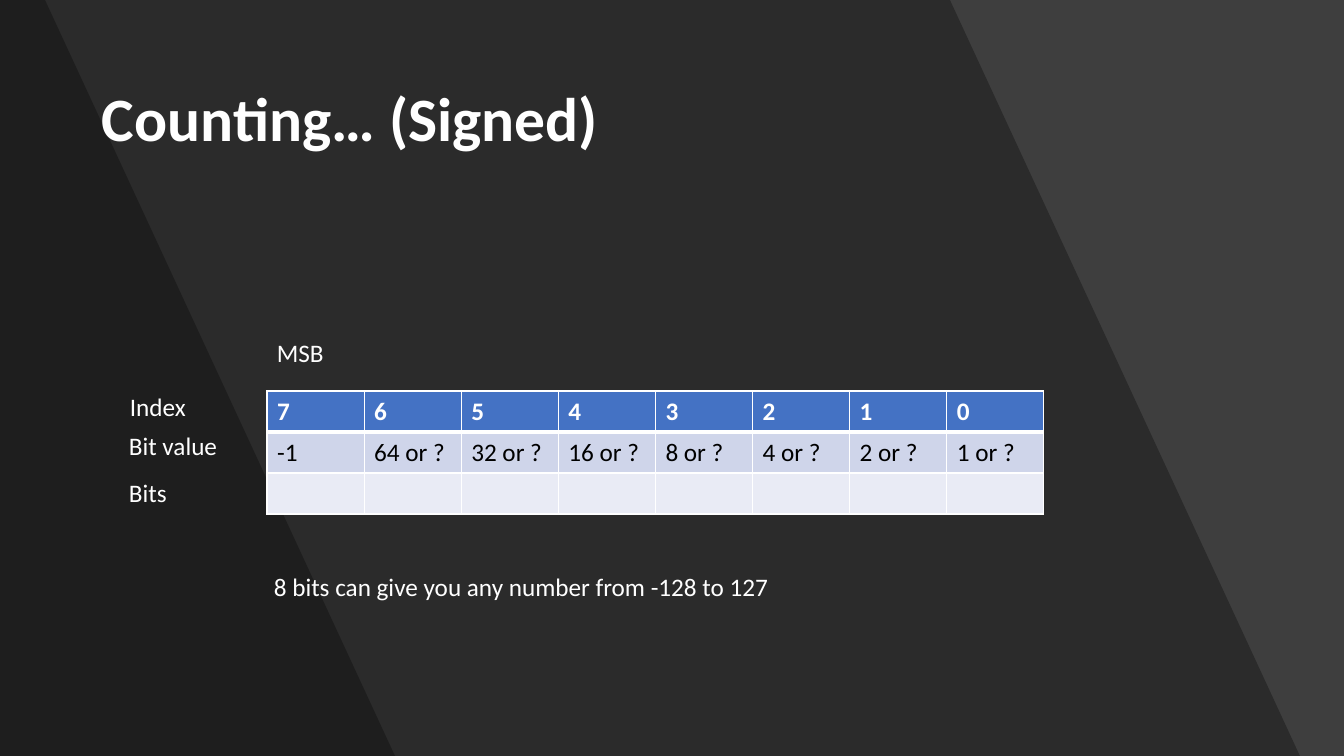
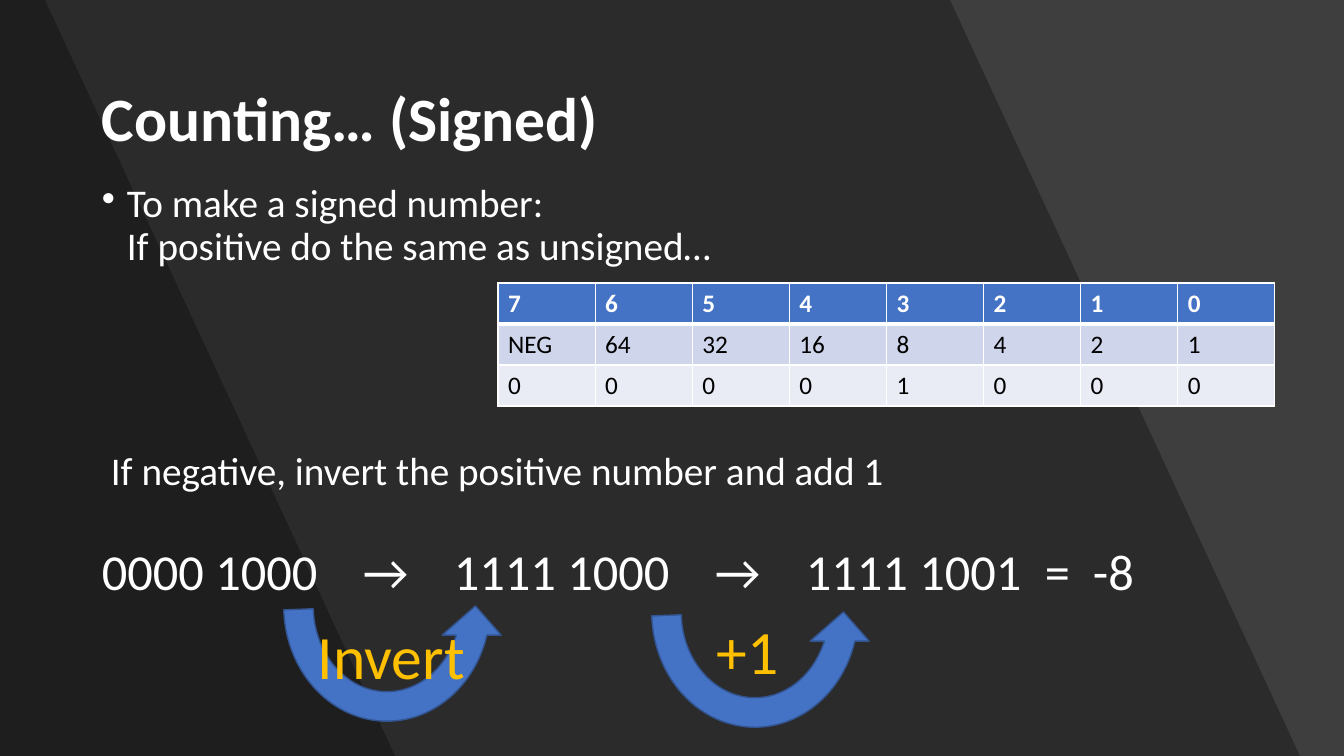
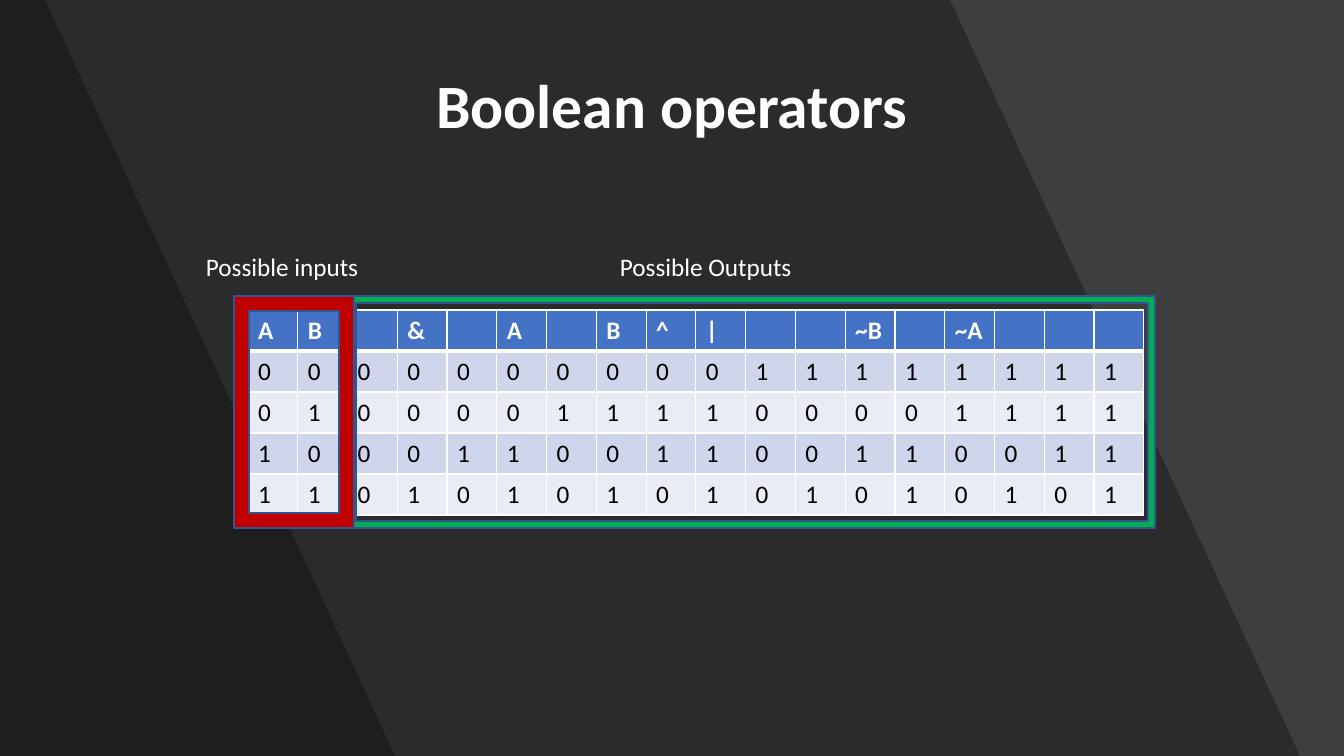
from lxml.etree import SubElement
from pptx import Presentation
from pptx.dml.color import RGBColor
from pptx.enum.shapes import MSO_SHAPE as SHAPE
from pptx.enum.text import MSO_ANCHOR as ANCHOR, PP_ALIGN as ALIGN
from pptx.oxml import parse_xml
from pptx.oxml.ns import nsdecls, qn
from pptx.util import Pt

EMU_PER_PX = 914400 / 100.8
WIDTH, HEIGHT = 1344, 756
FONT = "Calibri"

BACKDROP = RGBColor(0x45, 0x45, 0x45)
BLACK = RGBColor(0x00, 0x00, 0x00)
WHITE = RGBColor(0xFF, 0xFF, 0xFF)
BLUE = RGBColor(0x44, 0x72, 0xC4)
OUTLINE = RGBColor(0x32, 0x54, 0x91)
BAND_DARK = RGBColor(0xCF, 0xD5, 0xEA)
BAND_LIGHT = RGBColor(0xE9, 0xEB, 0xF5)
GOLD = RGBColor(0xFF, 0xC0, 0x00)
GREEN = RGBColor(0x00, 0xB0, 0x50)
RED = RGBColor(0xC0, 0x00, 0x00)


def px(n):
    """Turn pixels into EMU."""
    return round(n * EMU_PER_PX)


def add_veil(s, points, percent):
    """Lay a transparent black polygon over the slide."""
    builder = s.shapes.build_freeform(*points[0], scale=EMU_PER_PX)
    builder.add_line_segments(points[1:], close=True)
    sp = builder.convert_to_shape()
    sp.shadow.inherit = False
    sp.line.fill.background()
    sp.fill.solid()
    sp.fill.fore_color.rgb = BLACK
    color = sp.element.spPr.find(qn("a:solidFill")).find(qn("a:srgbClr"))
    SubElement(color, qn("a:alpha"), val=str(percent * 1000))


def add_run(p, text, size, color=WHITE, bold=False):
    """Append one formatted run."""
    r = p.add_run()
    r.text = text
    r.font.name = FONT
    r.font.size = Pt(size)
    r.font.color.rgb = color
    r.font.bold = bold


def add_text(s, text, left, top, width, height, size=18, color=WHITE, bold=False):
    """Add a wrapped text box and return its frame."""
    tf = s.shapes.add_textbox(px(left), px(top), px(width), px(height)).text_frame
    tf.word_wrap = True
    p = tf.paragraphs[0]
    for i, line in enumerate(text.split("\n")):
        if i:
            p.add_line_break()
        add_run(p, line, size, color, bold)
    return tf


def add_slide(prs, title, title_top=49, align=ALIGN.LEFT):
    """Add a slide with the diagonal backdrop and a title."""
    s = prs.slides.add_slide(prs.slide_layouts[6])
    s.background.fill.solid()
    s.background.fill.fore_color.rgb = BACKDROP
    for top_x, bottom_x, percent in ((WIDTH, WIDTH, 9), (950, 1300, 30), (45, 395, 30)):
        add_veil(s, [(0, 0), (top_x, 0), (bottom_x, HEIGHT), (0, HEIGHT)], percent)
    tf = add_text(s, title, 92, title_top, 1160, 146, size=44, bold=True)
    tf.vertical_anchor = ANCHOR.MIDDLE
    tf.paragraphs[0].alignment = align
    tf.paragraphs[0].line_spacing = 0.9
    return s


def set_borders(cell, top, bottom):
    """Give a cell white borders, with top and bottom widths in points."""
    tc_pr = cell._tc.get_or_add_tcPr()
    for i, (side, points) in enumerate((("L", 1), ("R", 1), ("T", top), ("B", bottom))):
        tc_pr.insert(i, parse_xml(
            f'<a:ln{side} {nsdecls("a")} w="{Pt(points)}"><a:solidFill>'
            f'<a:srgbClr val="{WHITE}"/></a:solidFill></a:ln{side}>'))


def add_table(s, rows, left, top, width, row_height=41):
    """Add a banded table with a blue header row."""
    cols = len(rows[0])
    table = s.shapes.add_table(len(rows), cols, px(left), px(top), px(width),
                               px(row_height * len(rows))).table
    table.first_row = table.horz_banding = False
    for column in table.columns:
        column.width = px(width / cols)
    for i, values in enumerate(rows):
        header = i == 0
        for j, value in enumerate(values):
            cell = table.cell(i, j)
            cell.fill.solid()
            cell.fill.fore_color.rgb = BLUE if header else BAND_DARK if i % 2 else BAND_LIGHT
            set_borders(cell, top=3 if i == 1 else 1, bottom=3 if header else 1)
            if value != "":
                add_run(cell.text_frame.paragraphs[0], str(value), 18,
                        WHITE if header else BLACK, header)


def add_shape(s, kind, left, top, width, height, fill):
    """Add a filled preset shape with a thin outline."""
    sp = s.shapes.add_shape(kind, px(left), px(top), px(width), px(height))
    sp.shadow.inherit = False
    sp.fill.solid()
    sp.fill.fore_color.rgb = fill
    sp.line.color.rgb = OUTLINE
    sp.line.width = Pt(1)
    return sp


def add_curved_arrow(s, left, top):
    """Add an arrow that swings below the text."""
    sp = add_shape(s, SHAPE.CIRCULAR_ARROW, left, top, 236, 260, BLUE)
    sp.adjustments[3] = 109.31
    sp.element.spPr.get_or_add_xfrm().set("flipV", "1")


def add_bullet(p):
    """Give a paragraph a hanging round bullet."""
    p_pr = p._p.get_or_add_pPr()
    p_pr.set("marL", str(px(25)))
    p_pr.set("indent", str(px(-25)))
    SubElement(p_pr, qn("a:buChar"), char="•")


def add_tabs(p, stops):
    """Set left tab stops on a paragraph."""
    tabs = SubElement(p._p.get_or_add_pPr(), qn("a:tabLst"))
    for stop in stops:
        SubElement(tabs, qn("a:tab"), pos=str(px(stop)), algn="l")


def bit_values_slide(prs):
    """Show the value of each bit in a signed byte."""
    s = add_slide(prs, "Counting… (Signed)")
    powers = [f"{2 ** i} or ?" for i in range(6, -1, -1)]
    add_table(s, [range(7, -1, -1), ["-1", *powers], [""] * 8], 267, 391, 777)
    for text, left, top in (("Index", 120, 386), ("Bit value", 119, 425),
                            ("Bits", 119, 472), ("MSB", 267, 332)):
        add_text(s, text, left, top, 130, 41)
    add_text(s, "8 bits can give you any number from -128 to 127", 264, 566, 781, 41)


def negation_slide(prs):
    """Show how a positive number is made negative."""
    s = add_slide(prs, "Counting… (Signed)")
    for text, left, top, bullet in (
            ("To make a signed number:\nIf positive do the same as unsigned…", 92, 179, True),
            ("If negative, invert the positive number and add 1", 101, 447, False)):
        p = add_text(s, text, left, top, 1150, 54, size=28).paragraphs[0]
        p.line_spacing = 0.9
        if bullet:
            add_bullet(p)
    powers = [2 ** i for i in range(6, -1, -1)]
    add_table(s, [range(7, -1, -1), ["NEG", *powers], f"{8:08b}"], 498, 283, 777)
    steps = "0000 1000\t→\t1111 1000\t→\t1111 1001\t=\t-8"
    tf = add_text(s, steps, 92, 535, 1134, 72, size=36)
    add_tabs(tf.paragraphs[0], (261, 352, 613, 704, 943, 991))
    add_curved_arrow(s, 269, 476)
    add_curved_arrow(s, 637, 482)
    add_text(s, "Invert", 308, 613, 172, 85, size=44, color=GOLD)
    add_text(s, "+1", 707, 608, 172, 85, size=44, color=GOLD)


def operators_slide(prs):
    """Show every boolean function of two inputs."""
    s = add_slide(prs, "Boolean operators", 36, ALIGN.CENTER)
    names = {1: "&", 3: "A", 5: "B", 6: "^", 7: "|", 10: "~B", 12: "~A"}
    rows = [["A", "B"] + [names.get(k, "") for k in range(16)]]
    for i in range(4):
        rows.append([i >> 1, i & 1] + [k >> (3 - i) & 1 for k in range(16)])
    add_table(s, rows, 248, 310, 896)
    outputs = add_shape(s, SHAPE.FRAME, 349, 296, 806, 232, GREEN)
    outputs.adjustments[0] = 0.03
    add_shape(s, SHAPE.FRAME, 234, 296, 120, 232, RED)
    add_text(s, "Possible inputs", 196, 246, 207, 41)
    add_text(s, "Possible Outputs", 610, 246, 207, 41)


def main():
    """Build and save the deck."""
    prs = Presentation()
    prs.slide_width, prs.slide_height = px(WIDTH), px(HEIGHT)
    bit_values_slide(prs)
    negation_slide(prs)
    operators_slide(prs)
    prs.save("out.pptx")


if __name__ == "__main__":
    main()
